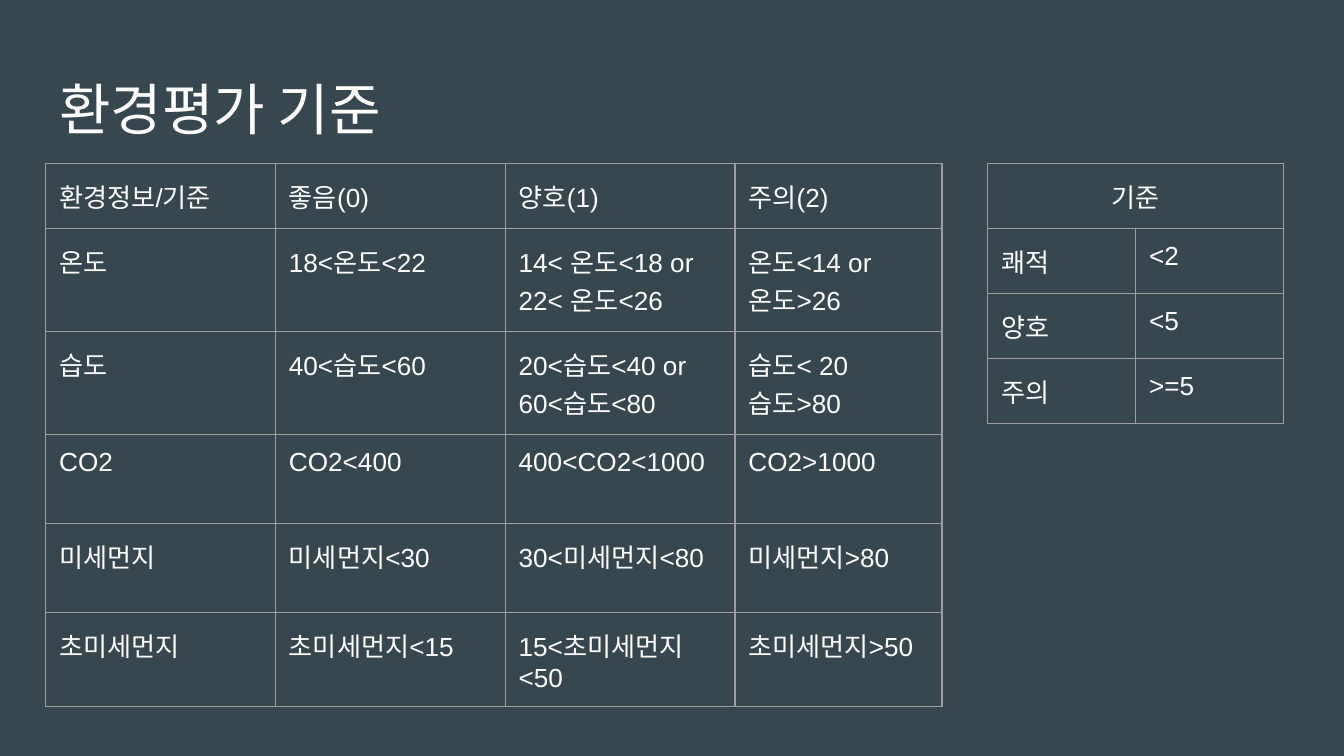
from lxml import etree
from pptx import Presentation
from pptx.dml.color import RGBColor
from pptx.enum.text import MSO_ANCHOR, MSO_AUTO_SIZE, PP_ALIGN
from pptx.oxml.ns import qn
from pptx.util import Pt

LEFT, CENTER = PP_ALIGN.LEFT, PP_ALIGN.CENTER
TOP, MIDDLE = MSO_ANCHOR.TOP, MSO_ANCHOR.MIDDLE
NO_AUTOFIT = MSO_AUTO_SIZE.NONE

BACKGROUND = RGBColor(0x37, 0x47, 0x4F)
WHITE = RGBColor(0xFF, 0xFF, 0xFF)
BORDER = RGBColor(0x9E, 0x9E, 0x9E)

INSET = Pt(7.2)
MARGINS = {"margin_left": INSET, "margin_right": INSET,
           "margin_top": INSET, "margin_bottom": INSET}
TITLE_FRAME = {**MARGINS, "word_wrap": True, "auto_size": NO_AUTOFIT,
               "vertical_anchor": MIDDLE}
CELL_FORMAT = {**MARGINS, "vertical_anchor": TOP}
TITLE_FONT = {"name": "Roboto Condensed", "size": Pt(30), "bold": False}
CELL_FONT = {"name": "Arial", "size": Pt(14), "bold": False}
PLAIN_TABLE = {"first_row": False, "horz_banding": False}

TABLE_TOP = 87.6
HEADER_HEIGHT, ROW_HEIGHT = 30.24, 47.52

CRITERIA = [
    ["환경정보/기준", "좋음(0)", "양호(1)", "주의(2)"],
    ["온도", "18<온도<22", "14< 온도<18 or\n22< 온도<26", "온도<14 or\n온도>26"],
    ["습도", "40<습도<60", "20<습도<40 or\n60<습도<80", "습도< 20\n습도>80"],
    ["CO2", "CO2<400", "400<CO2<1000", "CO2>1000"],
    ["미세먼지", "미세먼지<30", "30<미세먼지<80", "미세먼지>80"],
    ["초미세먼지", "초미세먼지<15", "15<초미세먼지<50", "초미세먼지>50"],
]
GRADES = [["기준", ""], ["쾌적", "<2"], ["양호", "<5"], ["주의", ">=5"]]


def set_attrs(obj, values):
    for name, value in values.items():
        setattr(obj, name, value)


def write_text(tf, text, font, align=LEFT):
    tf.text = text
    for p in tf.paragraphs:
        p.alignment = align
        for r in p.runs:
            set_attrs(r.font, font)
            r.font.color.rgb = WHITE


def add_borders(cell):
    tcPr = cell._tc.get_or_add_tcPr()
    for i, side in enumerate(("lnL", "lnR", "lnT", "lnB")):
        ln = etree.Element(qn(f"a:{side}"), w=str(Pt(0.75)))
        fill = etree.SubElement(ln, qn("a:solidFill"))
        etree.SubElement(fill, qn("a:srgbClr"), val=str(BORDER))
        tcPr.insert(i, ln)


def add_title(s, text):
    sp = s.shapes.title
    set_attrs(sp, {"left": Pt(24.5), "top": Pt(35.3),
                   "width": Pt(671), "height": Pt(45.4)})
    set_attrs(sp.text_frame, TITLE_FRAME)
    write_text(sp.text_frame, text, TITLE_FONT)


def add_grid(s, left, widths, heights, rows):
    frame = s.shapes.add_table(len(rows), len(widths), Pt(left), Pt(TABLE_TOP),
                               Pt(sum(widths)), Pt(sum(heights)))
    table = frame.table
    set_attrs(table, PLAIN_TABLE)
    for column, width in zip(table.columns, widths):
        column.width = Pt(width)
    for row, height, texts in zip(table.rows, heights, rows):
        row.height = Pt(height)
        for cell, text in zip(row.cells, texts):
            set_attrs(cell, CELL_FORMAT)
            cell.fill.background()
            add_borders(cell)
            write_text(cell.text_frame, text, CELL_FONT)
    return table


def main():
    prs = Presentation()
    prs.slide_width, prs.slide_height = Pt(720), Pt(405)
    s = prs.slides.add_slide(prs.slide_layouts[5])
    s.background.fill.solid()
    s.background.fill.fore_color.rgb = BACKGROUND

    add_title(s, "환경평가 기준")

    # Evaluation criteria by measurement
    add_grid(s, 24.5, [123.1] * 3 + [110.9],
             [HEADER_HEIGHT] + [ROW_HEIGHT] * 5, CRITERIA)

    # Overall grades under one merged header
    grades = add_grid(s, 529.2, [79.2] * 2, [HEADER_HEIGHT] * 4, GRADES)
    header = grades.cell(0, 0)
    header.merge(grades.cell(0, 1))
    header.text_frame.paragraphs[0].alignment = CENTER

    prs.save("out.pptx")


if __name__ == "__main__":
    main()
